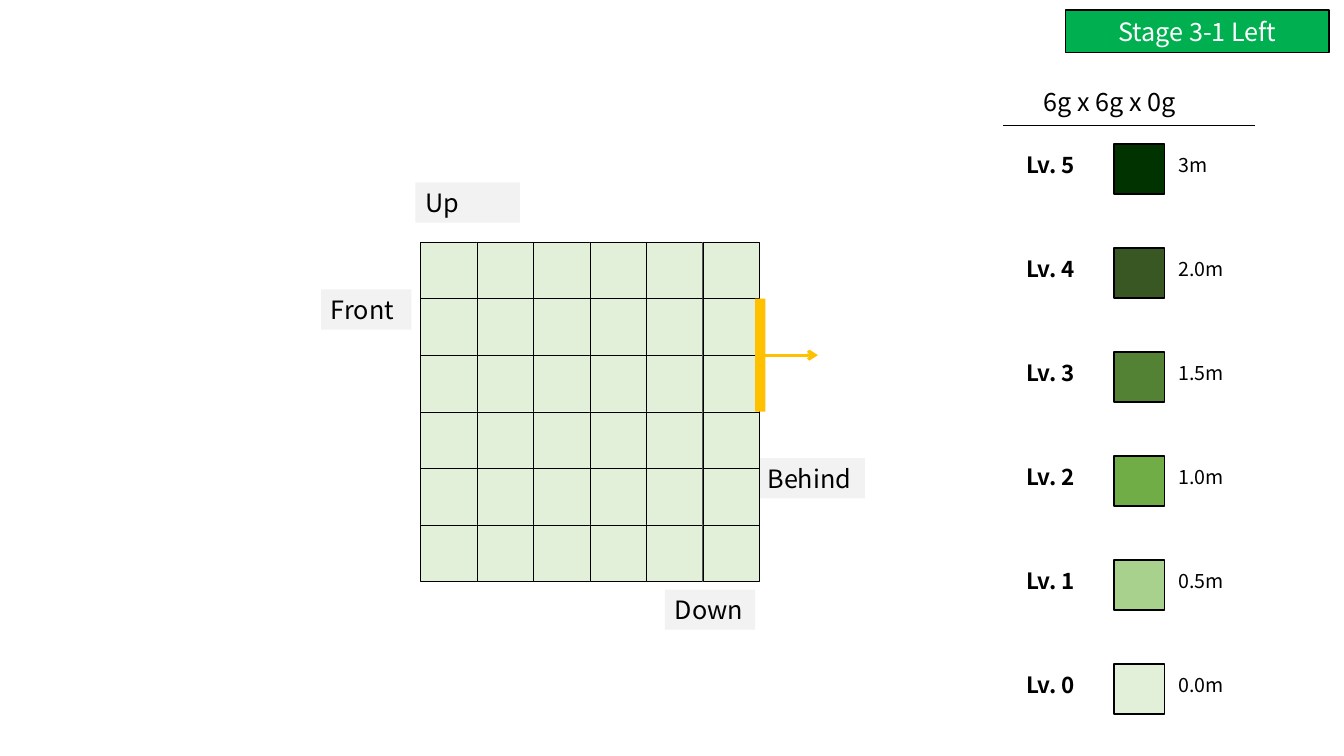
from dataclasses import dataclass
from itertools import product

from lxml.etree import SubElement
from pptx import Presentation
from pptx.dml.color import RGBColor
from pptx.enum.shapes import MSO_CONNECTOR, MSO_SHAPE
from pptx.enum.text import MSO_ANCHOR, PP_ALIGN
from pptx.oxml.ns import qn
from pptx.util import Inches, Pt

FONT = "Noto Sans CJK KR"
COLORS = {
    "black": "000000", "white": "FFFFFF", "badge": "00B050",
    "label": "F2F2F2", "exit": "FFC000",
    "level 5": "003300", "level 4": "385723", "level 3": "548235",
    "level 2": "70AD47", "level 1": "A9D18E", "level 0": "E2F0D9",
}
HEIGHTS = {5: "3m", 4: "2.0m", 3: "1.5m", 2: "1.0m", 1: "0.5m", 0: "0.0m"}
PLAN_SIZE = 6
PLAN_LABELS = [
    ("Up", -0.09, -1.05, 1.85),
    ("Front", -1.76, 0.84, 1.6),
    ("Down", 4.33, 6.14, 1.6),
    ("Behind", 5.97, 3.82, 1.9),
]


@dataclass
class Grid:
    """A region in inches, divided into equal columns and rows."""
    left: float
    top: float
    width: float
    height: float
    columns: int = 1
    rows: int = 1

    def point(self, column, row):
        """Return the slide position of a grid point."""
        return (Inches(self.left + column * self.width / self.columns),
                Inches(self.top + row * self.height / self.rows))

    def area(self, column, row, columns, rows):
        """Return left, top, width and height of a block of cells."""
        left, top = self.point(column, row)
        right, bottom = self.point(column + columns, row + rows)
        return left, top, right - left, bottom - top


def color(name):
    """Look up a named colour."""
    return RGBColor.from_string(COLORS[name])


def paint(shape, fill, line_width=None):
    """Fill a shape and give it a black outline or none."""
    shape.fill.solid()
    shape.fill.fore_color.rgb = color(fill)
    if line_width:
        shape.line.color.rgb = color("black")
        shape.line.width = Pt(line_width)
    else:
        shape.line.fill.background()


def write(shape, text, size, ink="black", bold=False, align=PP_ALIGN.LEFT):
    """Write one formatted run into a shape."""
    shape.text_frame.word_wrap = True
    paragraph = shape.text_frame.paragraphs[0]
    paragraph.alignment = align
    run = paragraph.add_run()
    run.text = text
    run.font.name = FONT
    run.font.size = Pt(size)
    run.font.bold = bold
    run.font.color.rgb = color(ink)


def add_text(slide, area, text, size, bold=False):
    """Add a text box and return it."""
    text_box = slide.shapes.add_textbox(*area)
    write(text_box, text, size, bold=bold)
    return text_box


def add_rectangle(slide, area, fill, line_width=None):
    """Add a flat rectangle."""
    rectangle = slide.shapes.add_shape(MSO_SHAPE.RECTANGLE, *area)
    rectangle.shadow.inherit = False
    paint(rectangle, fill, line_width)


def add_line(slide, start, end, ink, width, arrow=False):
    """Add a straight line, with an arrowhead at its end if asked."""
    line = slide.shapes.add_connector(MSO_CONNECTOR.STRAIGHT, *start, *end)
    line.line.color.rgb = color(ink)
    line.line.width = Pt(width)
    if arrow:
        SubElement(line.line._get_or_add_ln(), qn("a:tailEnd"), type="arrow")
    SubElement(line._element.spPr, qn("a:effectLst"))


def place_title(slide, grid):
    """Turn the title placeholder into the rounded stage badge."""
    title = slide.shapes.title
    title.left, title.top, title.width, title.height = grid.area(0, 0, 1, 1)
    geometry = SubElement(title._element.spPr, qn("a:prstGeom"), prst="roundRect")
    SubElement(geometry, qn("a:avLst"))
    paint(title, "badge", 1)
    title.text_frame.vertical_anchor = MSO_ANCHOR.MIDDLE
    write(title, "Stage 3-1 Left", 18, "white", align=PP_ALIGN.CENTER)


def draw_legend(slide, grid):
    """Draw the heading and one swatch row for each height level."""
    add_line(slide, grid.point(0, -0.18), grid.point(5, -0.18), "black", 1)
    add_text(slide, grid.area(0.6, -0.6, 5.08, 0.39), "6g x 6g x 0g", 18)
    for row, (level, height) in enumerate(HEIGHTS.items()):
        add_rectangle(slide, grid.area(2.2, row, 1, 0.48), f"level {level}", 1)
        add_text(slide, grid.area(0.26, row + 0.02, 2.14, 0.36),
                 f"Lv. {level}", 16, bold=True)
        add_text(slide, grid.area(3.28, row + 0.04, 3.42, 0.33), height, 14)


def draw_plan(slide, grid):
    """Draw the floor cells, the side labels and the exit."""
    for text, column, row, columns in PLAN_LABELS:
        label = add_text(slide, grid.area(column, row, columns, 0.71), text, 18)
        paint(label, "label")
    for row, column in product(range(grid.rows), range(grid.columns)):
        add_rectangle(slide, grid.area(column, row, 1, 1), "level 0", 0.25)
    add_rectangle(slide, grid.area(5.93, 1, 0.18, 2), "exit")
    add_line(slide, grid.point(6.11, 2), grid.point(7.04, 2), "exit", 2.25, True)


def build_slide(presentation):
    """Add the stage slide with its three regions."""
    slide = presentation.slides.add_slide(presentation.slide_layouts[5])
    place_title(slide, Grid(10.57, 0.1, 2.61, 0.42))
    draw_legend(slide, Grid(9.95, 1.43, 2.5, 6.19, 5, len(HEIGHTS)))
    draw_plan(slide, Grid(4.17, 2.4, 3.36, 3.37, PLAN_SIZE, PLAN_SIZE))


presentation = Presentation()
presentation.slide_width = Inches(13.33)
presentation.slide_height = Inches(7.5)
build_slide(presentation)
presentation.save("out.pptx")
